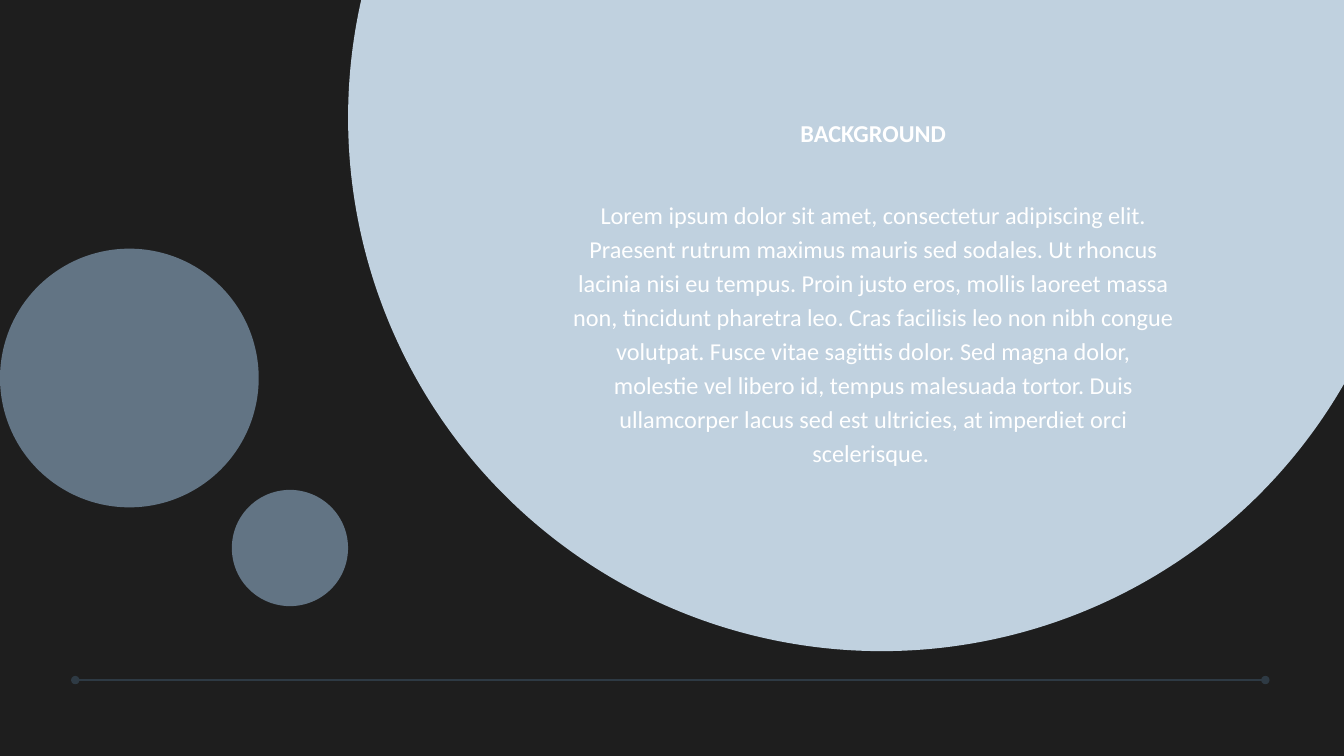
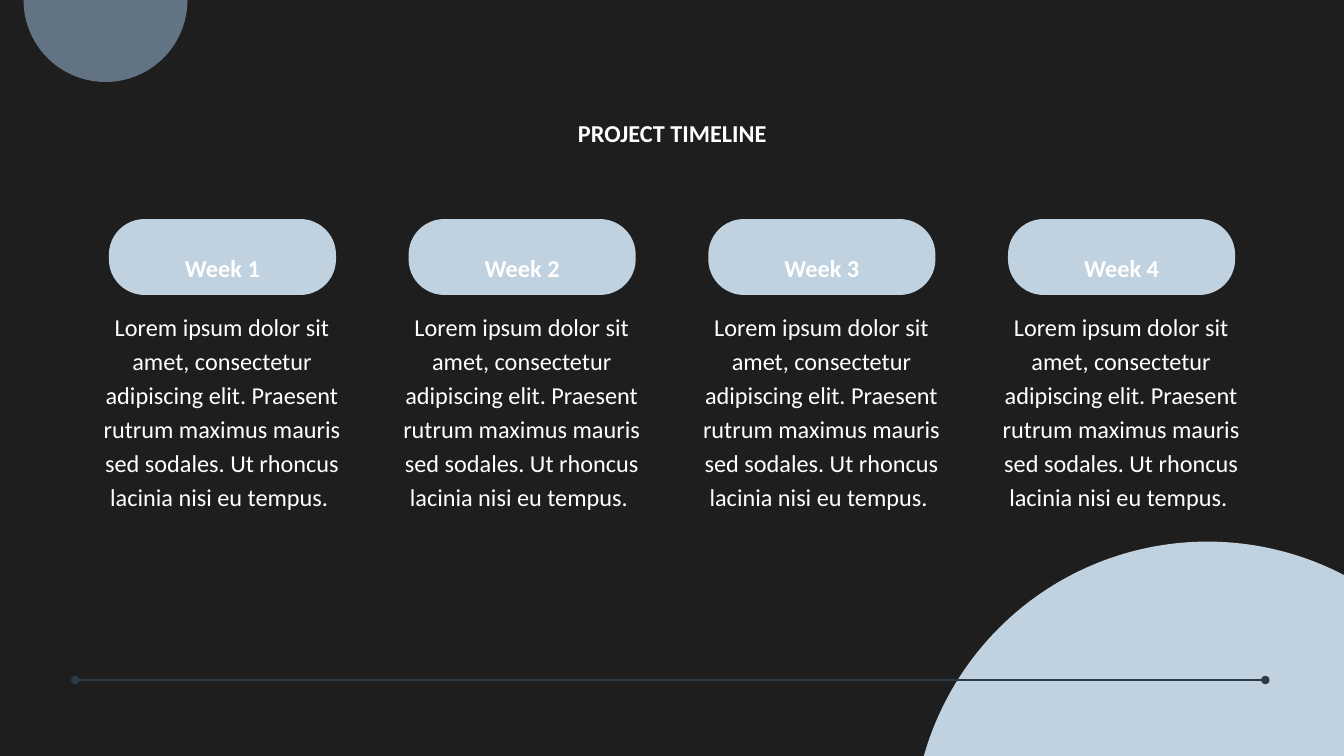
"""Build a background slide and a project timeline slide."""
from lxml import etree
from pptx import Presentation
from pptx import util as u
from pptx.dml.color import RGBColor
from pptx.enum import shapes, text
from pptx.oxml.ns import qn

INTRO = ("Lorem ipsum dolor sit amet, consectetur adipiscing elit. Praesent rutrum maximus "
         "mauris sed sodales. Ut rhoncus lacinia nisi eu tempus. ")
BACKGROUND = INTRO + (
    "Proin justo eros, mollis laoreet massa non, tincidunt pharetra leo. Cras facilisis leo "
    "non nibh congue volutpat. Fusce vitae sagittis dolor. Sed magna dolor, molestie vel "
    "libero id, tempus malesuada tortor. Duis ullamcorper lacus sed est ultricies, at "
    "imperdiet orci scelerisque. ")


def color(value):
    return RGBColor.from_string(value)


class Deck:
    """Holds the shared style and the current slide."""
    DARK, PALE, SLATE, LINE, WHITE = "1E1E1E", "C0D1DF", "627484", "2E3A44", "FFFFFF"
    FONT, SIZE = "Calibri", 26

    def __init__(self):
        self.presentation = Presentation()
        self.presentation.slide_width = u.Inches(20)
        self.presentation.slide_height = u.Inches(11.25)
        self.slide = None

    def new_slide(self):
        self.slide = self.presentation.slides.add_slide(self.presentation.slide_layouts[6])
        fill = self.slide.background.fill
        fill.solid()
        fill.fore_color.rgb = color(self.DARK)

    def shape(self, kind, left, top, width, height, fill):
        shape = self.slide.shapes.add_shape(
            kind, u.Inches(left), u.Inches(top), u.Inches(width), u.Inches(height))
        shape.shadow.inherit = False
        shape.fill.solid()
        shape.fill.fore_color.rgb = color(fill)
        shape.line.fill.background()
        return shape

    def circle(self, left, top, diameter, fill):
        self.shape(shapes.MSO_SHAPE.OVAL, left, top, diameter, diameter, fill)

    def pill(self, left, top, width, height):
        pill = self.shape(shapes.MSO_SHAPE.ROUNDED_RECTANGLE, left, top, width, height, self.PALE)
        pill.adjustments[0] = 0.47

    def footer_line(self):
        y = u.Inches(10.12)
        connector = self.slide.shapes.add_connector(
            shapes.MSO_CONNECTOR.STRAIGHT, u.Inches(1.12), y, u.Inches(18.83), y)
        connector.line.color.rgb = color(self.LINE)
        connector.line.width = u.Pt(3)
        properties = connector._element.spPr
        outline = properties.find(qn("a:ln"))
        for end in ("a:headEnd", "a:tailEnd"):
            etree.SubElement(outline, qn(end), type="oval")
        etree.SubElement(properties, qn("a:effectLst"))

    def text(self, words, left, top, width, height, spacing=36.4, bold=False):
        box = self.slide.shapes.add_textbox(
            u.Inches(left), u.Inches(top), u.Inches(width), u.Inches(height))
        frame = box.text_frame
        frame.word_wrap = True
        frame.auto_size = text.MSO_AUTO_SIZE.SHAPE_TO_FIT_TEXT
        frame.margin_left = frame.margin_right = frame.margin_top = frame.margin_bottom = 0
        paragraph = frame.paragraphs[0]
        paragraph.text = words
        paragraph.alignment = text.PP_ALIGN.CENTER
        paragraph.line_spacing = u.Pt(spacing)
        font = paragraph.font
        font.name, font.size, font.bold = self.FONT, u.Pt(self.SIZE), bold
        font.color.rgb = color(self.WHITE)

    def title(self, words, left, width):
        self.text(words, left, 0.74, width, 1.64, spacing=105, bold=True)


def background_slide(deck):
    deck.new_slide()
    deck.circle(5.18, -6.19, 15.88, deck.PALE)
    deck.circle(0, 3.7, 3.85, deck.SLATE)
    deck.footer_line()
    deck.circle(3.45, 7.29, 1.73, deck.SLATE)
    deck.title("BACKGROUND", 8.18, 9.63)
    deck.text(BACKGROUND, 8.51, 2.91, 8.98, 3.98)


def timeline_slide(deck):
    deck.new_slide()
    deck.circle(13.58, 8.06, 8.78, deck.PALE)
    deck.footer_line()
    deck.circle(0.35, -1.22, 2.44, deck.SLATE)
    deck.title("PROJECT TIMELINE", 3.85, 12.31)
    for week in range(4):
        center = 3.31 + 4.46 * week
        deck.pill(center - 1.69, 3.26, 3.38, 1.13)
        deck.text(INTRO, center - 1.91, 4.58, 3.81, 3.48)
        deck.text(f"Week {week + 1}", center - 1.35, 3.42, 2.7, 0.73, spacing=56, bold=True)


def main():
    deck = Deck()
    background_slide(deck)
    timeline_slide(deck)
    deck.presentation.save("out.pptx")


if __name__ == "__main__":
    main()
